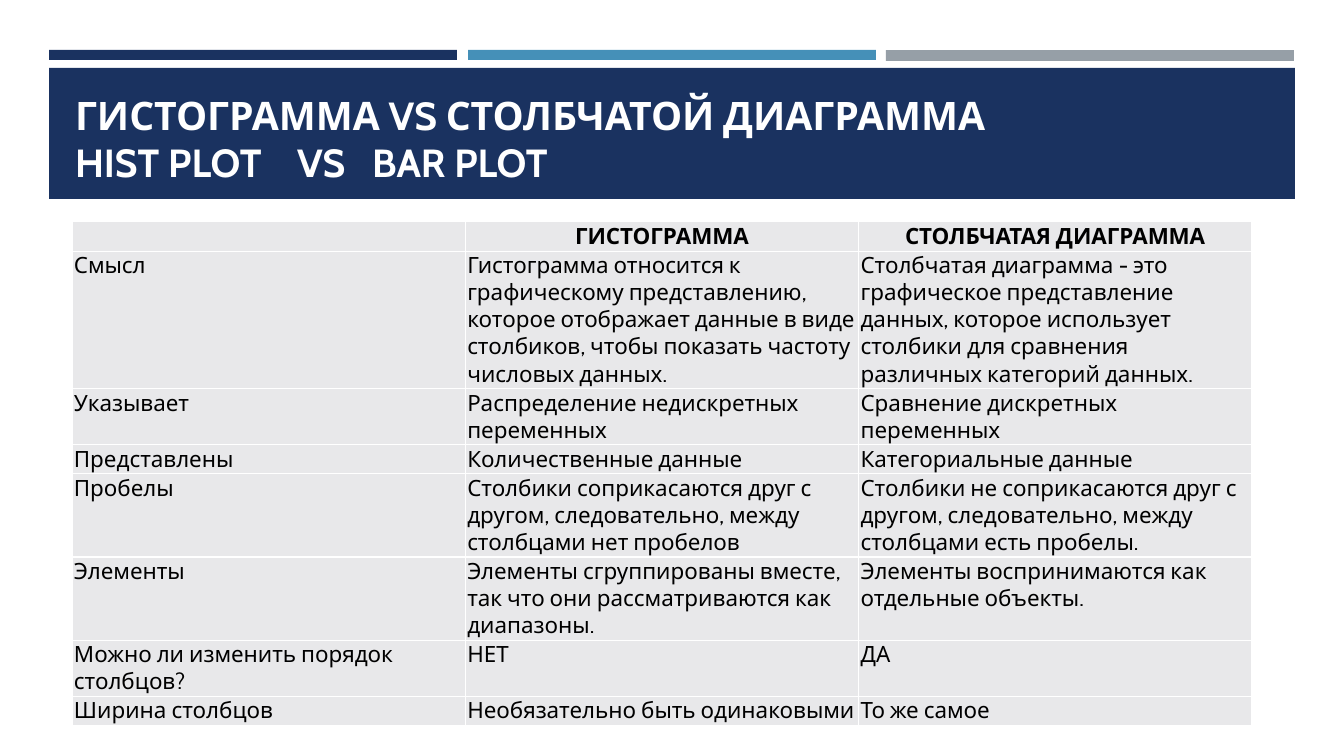
from dataclasses import dataclass

from lxml import etree
from pptx import Presentation
from pptx.dml.color import RGBColor
from pptx.enum.shapes import MSO_SHAPE
from pptx.enum.text import MSO_ANCHOR, MSO_AUTO_SIZE, PP_ALIGN
from pptx.oxml.ns import qn
from pptx.util import Pt

RECT = MSO_SHAPE.RECTANGLE
TOP, MIDDLE, BOTTOM = MSO_ANCHOR.TOP, MSO_ANCHOR.MIDDLE, MSO_ANCHOR.BOTTOM
LEFT, CENTER = PP_ALIGN.LEFT, PP_ALIGN.CENTER
NO_AUTOFIT = MSO_AUTO_SIZE.NONE


@dataclass(frozen=True)
class Theme:
    font: str = "Cabin"
    navy: str = "1A3260"
    blue: str = "4590B8"
    grey: str = "969FA7"
    cell: str = "E8E8EA"
    white: str = "FFFFFF"
    black: str = "000000"
    title_size: int = 28
    table_size: int = 16


theme = Theme()


def px(n):
    return round(n * 12192000 / 1344)


def write(tf, text, size=theme.table_size, color=theme.black, bold=False,
          align=LEFT, tabs=()):
    p = tf.paragraphs[0]
    p.alignment = align
    if tabs:
        tab_list = etree.SubElement(p._p.get_or_add_pPr(), qn("a:tabLst"))
        for stop in tabs:
            etree.SubElement(tab_list, qn("a:tab"), pos=str(px(stop)), algn="l")
    for i, line in enumerate(text.split("\n")):
        if i:
            p.add_line_break()
        r = p.add_run()
        r.text = line
        r.font.name = theme.font
        r.font.size = Pt(size)
        r.font.bold = bold
        r.font.color.rgb = RGBColor.from_string(color)


prs = Presentation()
prs.slide_width, prs.slide_height = px(1344), px(756)
s = prs.slides.add_slide(prs.slide_layouts[5])

for left, top, width, height, color in (
    (49, 50, 408, 10, theme.navy),
    (886, 50, 408, 11, theme.grey),
    (468, 50, 408, 10, theme.blue),
    (49, 68, 1246, 131, theme.navy),
):
    sp = s.shapes.add_shape(RECT, px(left), px(top), px(width), px(height))
    sp.shadow.inherit = False
    sp.fill.solid()
    sp.fill.fore_color.rgb = RGBColor.from_string(color)
    sp.line.fill.background()

title = s.shapes.title
title.element.getparent().append(title.element)
title.left, title.top, title.width, title.height = px(65), px(78), px(1216), px(112)
tf = title.text_frame
tf.word_wrap = True
tf.auto_size = NO_AUTOFIT
tf.vertical_anchor = BOTTOM
tf.margin_left = tf.margin_right = px(10)
tf.margin_top = tf.margin_bottom = px(5)
write(tf, "ГИСТОГРАММА VS СТОЛБЧАТОЙ ДИАГРАММА\nHIST PLOT\tVS\tBAR PLOT",
      size=theme.title_size, color=theme.white, bold=True, tabs=(222, 297))

rows = [
    (28, "", "ГИСТОГРАММА", "СТОЛБЧАТАЯ ДИАГРАММА"),
    (137, "Смысл",
     "Гистограмма относится к графическому представлению, которое отображает "
     "данные в виде столбиков, чтобы показать частоту числовых данных.",
     "Столбчатая диаграмма - это графическое представление данных, которое "
     "использует столбики для сравнения различных категорий данных."),
    (56, "Указывает", "Распределение недискретных переменных",
     "Сравнение дискретных переменных"),
    (29, "Представлены", "Количественные данные", "Категориальные данные"),
    (83, "Пробелы",
     "Столбики соприкасаются друг с другом, следовательно, между столбцами нет пробелов",
     "Столбики не соприкасаются друг с другом, следовательно, между столбцами есть пробелы."),
    (83, "Элементы",
     "Элементы сгруппированы вместе, так что они рассматриваются как диапазоны.",
     "Элементы воспринимаются как отдельные объекты."),
    (55, "Можно ли изменить порядок столбцов?", "НЕТ", "ДА"),
    (29, "Ширина столбцов", "Необязательно быть одинаковыми", "То же самое"),
]
table_height = sum(row[0] for row in rows)
table = s.shapes.add_table(len(rows), 3, px(72), px(221), px(1180), px(table_height)).table
table.first_row = table.horz_banding = False
for column in table.columns:
    column.width = px(1180 / 3)

for i, (height, *texts) in enumerate(rows):
    table.rows[i].height = px(height)
    header = i == 0
    for j, text in enumerate(texts):
        cell = table.cell(i, j)
        cell.margin_left = cell.margin_right = px(2)
        cell.margin_top = cell.margin_bottom = px(1)
        cell.vertical_anchor = MIDDLE if header else TOP
        for side in ("a:lnL", "a:lnR", "a:lnT", "a:lnB"):
            ln = etree.SubElement(cell._tc.get_or_add_tcPr(), qn(side), w=str(Pt(1)))
            fill = etree.SubElement(ln, qn("a:solidFill"))
            etree.SubElement(fill, qn("a:srgbClr"), val=theme.white)
        cell.fill.solid()
        cell.fill.fore_color.rgb = RGBColor.from_string(theme.cell)
        write(cell.text_frame, text, bold=header, align=CENTER if header else LEFT)

prs.save("out.pptx")
